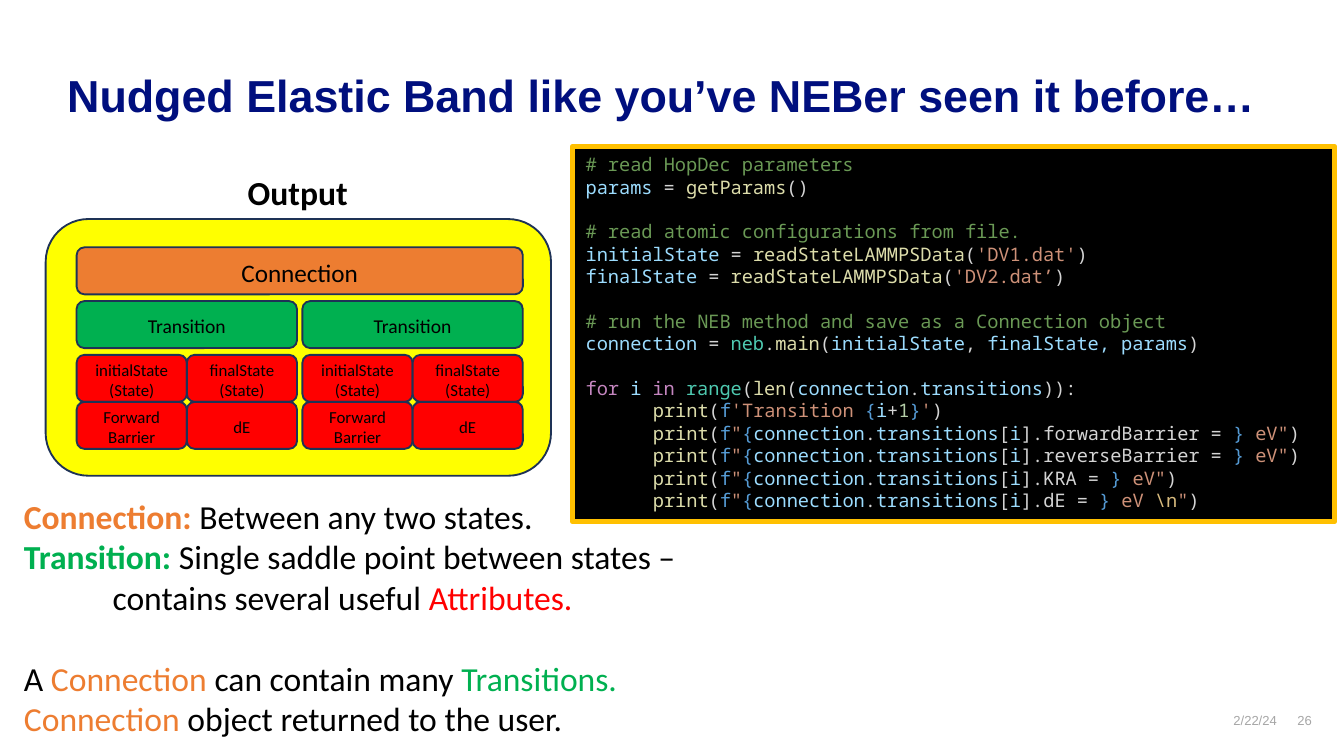
"""Build the Nudged Elastic Band slide: output diagram, definitions and code."""
from dataclasses import dataclass

from pptx import Presentation
from pptx.dml.color import RGBColor
from pptx.enum import shapes, text
from pptx.util import Inches, Pt


@dataclass(frozen=True)
class Theme:
    """Colours, fonts and type sizes of the slide."""
    navy: str = "000F7E"
    black: str = "000000"
    white: str = "FFFFFF"
    grey: str = "A6A6A6"
    outline: str = "1E3256"
    yellow: str = "FFFF00"
    orange: str = "ED7D31"
    green: str = "00B050"
    red: str = "FF0000"
    gold: str = "FFC000"
    comment: str = "6A9955"
    variable: str = "9CDCFE"
    plain: str = "D4D4D4"
    function: str = "DCDCAA"
    string: str = "CE9178"
    module: str = "4EC9B0"
    keyword: str = "C586C0"
    brace: str = "569CD6"
    number: str = "B5CEA8"
    escape: str = "D7BA7D"
    head_font: str = "Arial"
    body_font: str = "Calibri"
    code_font: str = "Noto Sans Mono"
    title_size: float = 24
    body_size: float = 18
    connection_size: float = 13.5
    transition_size: float = 10.5
    code_size: float = 10
    state_size: float = 9
    footer_size: float = 7


T = Theme()
ALIGN = text.PP_ALIGN


def style(font, name, size, color=None, bold=False):
    """Set the face, size, weight and optional colour of a font."""
    font.name, font.size, font.bold = name, Pt(size), bold
    if color:
        font.color.rgb = RGBColor.from_string(color)


def set_margins(tf, x, y):
    """Set equal side margins and equal top and bottom margins in inches."""
    tf.margin_left = tf.margin_right = Inches(x)
    tf.margin_top = tf.margin_bottom = Inches(y)


def set_indent(p, left, first=0):
    """Set the left margin and first-line indent of a paragraph in inches."""
    pPr = p._p.get_or_add_pPr()
    pPr.set("marL", str(Inches(left)))
    pPr.set("indent", str(Inches(first)))


def add_title(s, label):
    """Place and format the title placeholder."""
    sp = s.shapes.title
    sp.left, sp.top, sp.width, sp.height = map(Inches, (0.5, 0.5, 9.03, 0.73))
    tf = sp.text_frame
    tf.text = label
    tf.auto_size = text.MSO_AUTO_SIZE.NONE
    tf.vertical_anchor = text.MSO_ANCHOR.TOP
    set_margins(tf, 0, 0)
    p = tf.paragraphs[0]
    p.alignment = ALIGN.LEFT
    style(p.font, T.head_font, T.title_size, T.navy, True)


def add_label(parent, box, label, font, size, color, align, bold=False, margin=0.0):
    """Add a single-line text box."""
    tf = parent.shapes.add_textbox(*map(Inches, box)).text_frame
    tf.word_wrap = True
    set_margins(tf, margin, margin)
    p = tf.paragraphs[0]
    p.text, p.alignment = label, align
    style(p.font, font, size, color, bold)


def add_block(parent, box, fill, label="", size=T.state_size):
    """Add an outlined rounded block with an optional centred label."""
    sp = parent.shapes.add_shape(shapes.MSO_SHAPE.ROUNDED_RECTANGLE, *map(Inches, box))
    sp.shadow.inherit = False
    sp.fill.solid()
    sp.fill.fore_color.rgb = RGBColor.from_string(fill)
    sp.line.color.rgb = RGBColor.from_string(T.outline)
    sp.line.width = Pt(1)
    if label:
        tf = sp.text_frame
        tf.word_wrap = True
        set_margins(tf, 0.08, 0)
        tf.margin_top = Inches(0.02)
        p = tf.paragraphs[0]
        p.text, p.alignment = label, ALIGN.CENTER
        style(p.font, T.body_font, size, T.black)


def add_diagram(s):
    """Draw the output hierarchy of one connection with two transitions."""
    group = s.shapes.add_group_shape()
    add_block(group, (0.34, 1.63, 3.76, 1.91), T.yellow)
    left, height, cell = 0.57, 0.35, 0.82
    add_block(group, (left, 1.84, 3.32, height), T.orange, "Connection", T.connection_size)
    attributes = (("initialState (State)", "finalState (State)"), ("Forward Barrier", "dE"))
    for x in (left, left + 1.68):
        add_block(group, (x, 2.24, 2 * cell, height), T.green, "Transition", T.transition_size)
        for row, labels in enumerate(attributes):
            for col, label in enumerate(labels):
                box = (x + col * cell, 2.64 + row * height, cell, height)
                add_block(group, box, T.red, label)
    add_label(group, (1.74, 1.23, 0.95, 0.4), "Output", T.body_font, T.body_size,
              T.black, ALIGN.CENTER, True, 0.05)


def add_panel(s, box, fill):
    """Add a filled, wrapping text box and return its shape."""
    sp = s.shapes.add_textbox(*map(Inches, box))
    sp.fill.solid()
    sp.fill.fore_color.rgb = RGBColor.from_string(fill)
    sp.text_frame.word_wrap = True
    return sp


def add_lines(tf, lines, font, size):
    """Write lines of (colour, text[, bold]) runs and return the paragraphs."""
    for i, runs in enumerate(lines):
        p = tf.paragraphs[0] if i == 0 else tf.add_paragraph()
        style(p.font, font, size)
        for color, words, *bold in runs:
            r = p.add_run()
            r.text = words
            style(r.font, font, size, color, bool(bold))
    return tf.paragraphs


def add_definitions(s):
    """Explain connections and transitions."""
    lines = [
        [(T.orange, "Connection: ", True), (T.black, "Between any two states.")],
        [(T.green, "Transition: ", True),
         (T.black, "Single saddle point between states – contains several useful "),
         (T.red, "Attributes.")],
        [(T.black, "A "), (T.orange, "Connection "), (T.black, "can contain many "),
         (T.green, "Transitions.")],
        [(T.orange, "Connection "), (T.black, "object returned to the user.")],
    ]
    sp = add_panel(s, (0.08, 3.64, 5.24, 1.92), T.white)
    paragraphs = add_lines(sp.text_frame, lines, T.body_font, T.body_size)
    set_indent(paragraphs[1], 0.66, -0.66)
    paragraphs[2].space_before = Pt(22)


def print_line(attribute, *ending):
    """Return the runs of a print call for one transition attribute."""
    return [(T.function, "print"), (T.plain, "("), (T.brace, "f"), (T.string, '"'),
            (T.brace, "{"), (T.variable, "connection"), (T.plain, "."),
            (T.variable, "transitions"), (T.plain, "["), (T.variable, "i"),
            (T.plain, f"].{attribute} = "), (T.brace, "}"), *ending, (T.plain, ")")]


def read_line(variable, file_name):
    """Return the runs of a line that reads one state."""
    return [(T.variable, variable), (T.plain, " = "), (T.function, "readStateLAMMPSData"),
            (T.plain, "("), (T.string, file_name), (T.plain, ")")]


def add_code(s):
    """Show the example script, with a gap before each later section."""
    sections = [
        [[(T.comment, "# read HopDec parameters")],
         [(T.variable, "params"), (T.plain, " = "), (T.function, "getParams"), (T.plain, "()")]],
        [[(T.comment, "# read atomic configurations from file.")],
         read_line("initialState", "'DV1.dat'"), read_line("finalState", "'DV2.dat’")],
        [[(T.comment, "# run the NEB method and save as a Connection object")],
         [(T.variable, "connection"), (T.plain, " = "), (T.module, "neb"), (T.plain, "."),
          (T.function, "main"), (T.plain, "("), (T.variable, "initialState"), (T.plain, ", "),
          (T.variable, "finalState, params"), (T.plain, ")")]],
        [[(T.keyword, "for "), (T.variable, "i "), (T.keyword, "in "), (T.module, "range"),
          (T.plain, "("), (T.function, "len"), (T.plain, "("), (T.variable, "connection"),
          (T.plain, "."), (T.variable, "transitions"), (T.plain, ")):")],
         [(T.function, "print"), (T.plain, "("), (T.brace, "f"), (T.string, "'Transition "),
          (T.brace, "{"), (T.variable, "i"), (T.plain, "+"), (T.number, "1"), (T.brace, "}"),
          (T.string, "'"), (T.plain, ")")],
         *(print_line(a, (T.string, ' eV"')) for a in ("forwardBarrier", "reverseBarrier", "KRA")),
         print_line("dE", (T.string, " eV "), (T.escape, "\\n"), (T.string, '"'))],
    ]
    sp = add_panel(s, (4.26, 1.09, 5.67, 2.79), T.black)
    sp.line.color.rgb = RGBColor.from_string(T.gold)
    sp.line.width = Pt(3)
    lines = [line for section in sections for line in section]
    starts = [section[0] for section in sections[1:]]
    for p, line in zip(add_lines(sp.text_frame, lines, T.code_font, T.code_size), lines):
        p.line_spacing = Pt(12)
        if line in starts:
            p.space_before = Pt(12)
        if line[0][1] == "print":
            p.level = 1
            set_indent(p, 0.5)


def main():
    """Build and save the slide."""
    prs = Presentation()
    prs.slide_width = Inches(10)
    prs.slide_height = prs.slide_width * 9 // 16
    s = prs.slides.add_slide(prs.slide_layouts[5])
    add_title(s, "Nudged Elastic Band like you’ve NEBer seen it before…")
    add_diagram(s)
    add_definitions(s)
    add_code(s)
    for box, label in (((8.83, 5.3, 0.67, 0.16), "2/22/24"), ((9.52, 5.3, 0.24, 0.22), "26")):
        add_label(s, box, label, T.head_font, T.footer_size, T.grey, ALIGN.RIGHT)
    prs.save("out.pptx")


if __name__ == "__main__":
    main()
